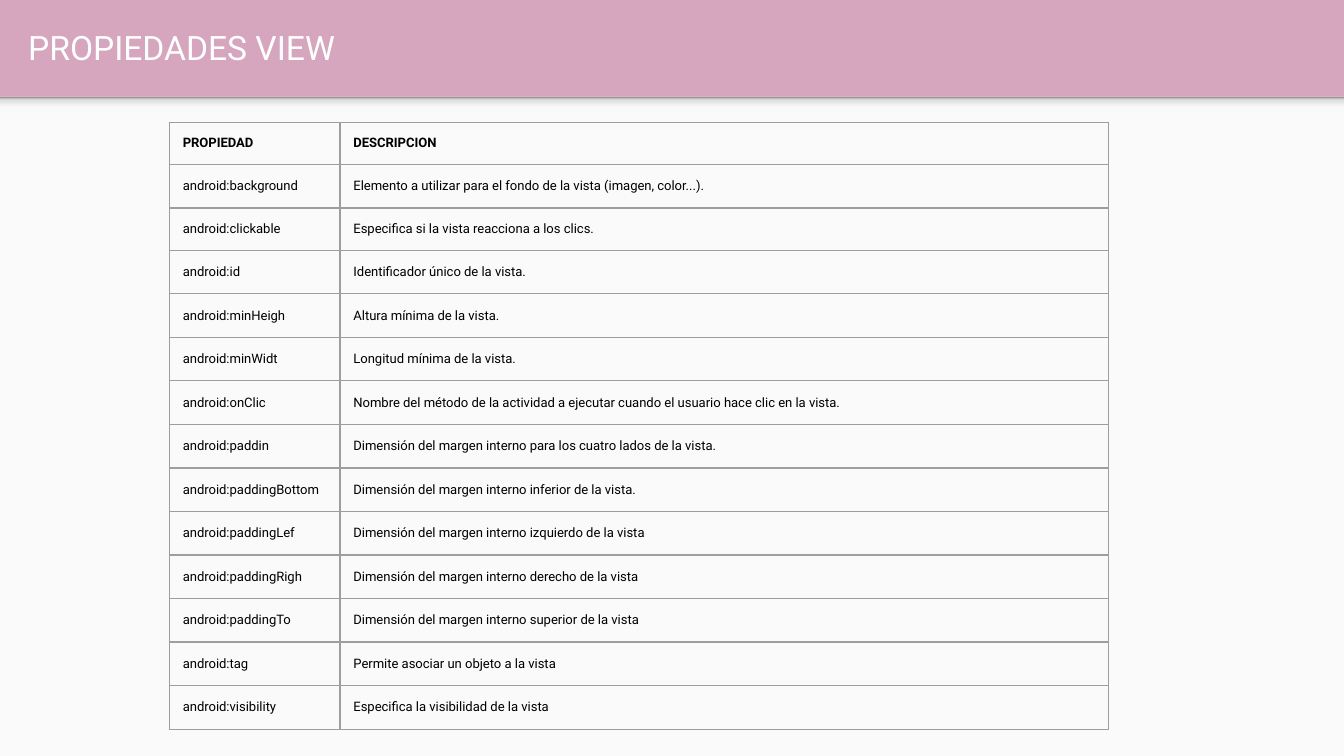
from lxml import etree
from pptx import Presentation
from pptx import util as u
from pptx.dml.color import RGBColor
from pptx.enum import shapes, text
from pptx.oxml import parse_xml
from pptx.oxml.ns import nsdecls, qn

THEME = dict(
    font="Roboto", band="D5A6BD", paper="FAFAFA", title="FFFFFF", ink="000000",
    rule="9E9E9E", title_size=18, cell_size=7, rule_width=0.75,
    shade=[(0, "F9F9F9"), (36, "F9F9F9"), (80, "DEDEDE"), (100, "999999")],
)
ROWS = [
    ("PROPIEDAD", "DESCRIPCION"),
    ("android:background", "Elemento a utilizar para el fondo de la vista (imagen, color...)."),
    ("android:clickable", "Especifica si la vista reacciona a los clics."),
    ("android:id", "Identificador único de la vista."),
    ("android:minHeigh", "Altura mínima de la vista."),
    ("android:minWidt", "Longitud mínima de la vista."),
    ("android:onClic", "Nombre del método de la actividad a ejecutar cuando el usuario hace clic en la vista."),
    ("android:paddin", "Dimensión del margen interno para los cuatro lados de la vista."),
    ("android:paddingBottom", "Dimensión del margen interno inferior de la vista."),
    ("android:paddingLef", "Dimensión del margen interno izquierdo de la vista"),
    ("android:paddingRigh", "Dimensión del margen interno derecho de la vista"),
    ("android:paddingTo", "Dimensión del margen interno superior de la vista"),
    ("android:tag", "Permite asociar un objeto a la vista"),
    ("android:visibility", "Especifica la visibilidad de la vista"),
]


def add_run(p, words, size, color, bold=False):
    r = p.add_run()
    r.text = words
    r.font.name, r.font.size, r.font.bold = THEME["font"], u.Pt(size), bold
    r.font.color.rgb = RGBColor.from_string(THEME[color])


# A 16:9 slide
prs = Presentation()
prs.slide_width = W = u.Inches(10)
prs.slide_height = H = W * 9 // 16
s = prs.slides.add_slide(prs.slide_layouts[5])
s.background.fill.solid()
s.background.fill.fore_color.rgb = RGBColor.from_string(THEME["band"])

# Paper below the title band, then the band's soft shade on it
band_h = u.Inches(0.72)
paper, shade = [
    s.shapes.add_shape(shapes.MSO_SHAPE.RECTANGLE, 0, band_h, W, h)
    for h in (H - band_h, u.Inches(0.12))
]
for sp in (paper, shade):
    sp.shadow.inherit = False
    sp.line.fill.background()
paper.fill.solid()
paper.fill.fore_color.rgb = RGBColor.from_string(THEME["paper"])
shade.fill.gradient()
shade.fill.gradient_angle = 90
stops = shade.fill._fill._gradFill.find(qn("a:gsLst"))
for stop in list(stops):
    stops.remove(stop)
for pos, color in THEME["shade"]:
    gs = etree.SubElement(stops, qn("a:gs"), pos=str(pos * 1000))
    etree.SubElement(gs, qn("a:srgbClr"), val=color)

# Title
title = s.shapes.title
title.left, title.top = u.Inches(0.11), u.Inches(0.02)
title.width, title.height = u.Inches(9.65), u.Inches(0.66)
tf = title.text_frame
tf.word_wrap, tf.auto_size = True, text.MSO_AUTO_SIZE.NONE
tf.vertical_anchor = text.MSO_ANCHOR.MIDDLE
tf.margin_left = tf.margin_right = tf.margin_top = tf.margin_bottom = u.Inches(0.1)
tf.paragraphs[0].alignment = text.PP_ALIGN.LEFT
add_run(tf.paragraphs[0], "PROPIEDADES VIEW", THEME["title_size"], "title")

# Table of properties
cols = [u.Inches(1.27), u.Inches(5.72)]
table_h = u.Inches(4.51)
table = s.shapes.add_table(
    len(ROWS), len(cols), u.Inches(1.26), u.Inches(0.91), sum(cols), table_h
).table
table.first_row = table.horz_banding = False
for col, width in zip(table.columns, cols):
    col.width = width
short_rows, short_h = (0, 2), u.Inches(0.31)
row_h = (table_h - short_h * len(short_rows)) // (len(ROWS) - len(short_rows))
for i, row in enumerate(ROWS):
    table.rows[i].height = short_h if i in short_rows else row_h
    for j, words in enumerate(row):
        cell = table.cell(i, j)
        cell.margin_left = cell.margin_right = u.Inches(0.1)
        cell.margin_top = cell.margin_bottom = u.Inches(0.1)
        p = cell.text_frame.paragraphs[0]
        if i > 0:
            cell.vertical_anchor = text.MSO_ANCHOR.MIDDLE
            p.alignment = text.PP_ALIGN.JUSTIFY
        add_run(p, words, THEME["cell_size"], "ink", bold=i == 0)
        # Borders come before the fill in the cell's XML
        tcPr = cell._tc.get_or_add_tcPr()
        for side in ("lnL", "lnR", "lnT", "lnB"):
            tcPr.append(parse_xml(
                f'<a:{side} {nsdecls("a")} w="{u.Pt(THEME["rule_width"])}"><a:solidFill>'
                f'<a:srgbClr val="{THEME["rule"]}"/></a:solidFill></a:{side}>'))
        cell.fill.background()

prs.save("out.pptx")
